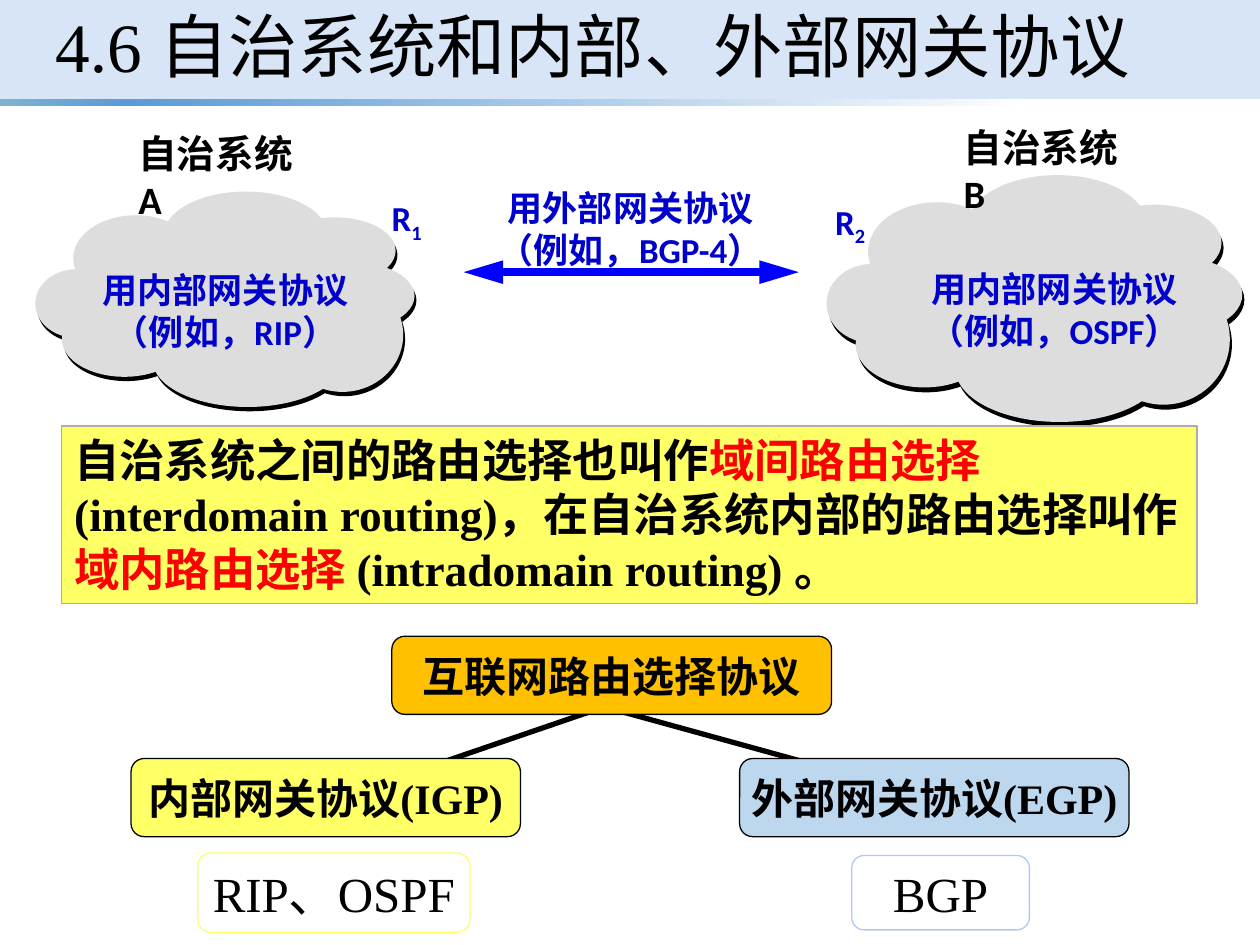
from lxml.etree import SubElement
from pptx import Presentation
from pptx.dml.color import RGBColor
from pptx.enum.shapes import MSO_CONNECTOR, MSO_SHAPE
from pptx.enum.text import MSO_ANCHOR, PP_ALIGN
from pptx.oxml import parse_xml
from pptx.oxml.ns import nsdecls, qn
from pptx.util import Inches, Pt

prs = Presentation()
prs.slide_width, prs.slide_height = Inches(10), Inches(7.5)
s = prs.slides.add_slide(prs.slide_layouts[6])
X, Y = prs.slide_width / 100, prs.slide_height / 100  # one percent of the slide
BLACK, BLUE, RED, YELLOW, GREY = "000000", "0000CC", "FF0000", "FFFF66", "DDDDDD"
SERIF, SANS = "Times New Roman", "Calibri"


def add_box(x, y, w, h, kind=MSO_SHAPE.RECTANGLE, fill=None, line=None):
    """Shape placed in percent of the slide."""
    sp = s.shapes.add_shape(kind, int(x * X), int(y * Y), int(w * X), int(h * Y))
    sp.shadow.inherit = False
    if fill:
        sp.fill.solid()
        sp.fill.fore_color.rgb = RGBColor.from_string(fill)
    else:
        sp.fill.background()
    if line:
        sp.line.color.rgb = RGBColor.from_string(line)
        sp.line.width = Pt(0.75)
    else:
        sp.line.fill.background()
    return sp


def write(sp, paragraphs, size, font, bold=True, align=PP_ALIGN.CENTER,
          anchor=MSO_ANCHOR.TOP, wrap=True):
    """Each paragraph is a list of (text, colour) runs."""
    tf = sp.text_frame
    tf.word_wrap, tf.vertical_anchor = wrap, anchor
    for i, runs in enumerate(paragraphs):
        p = tf.add_paragraph() if i else tf.paragraphs[0]
        p.alignment = align
        for text, color in runs:
            r = p.add_run()
            r.text = text
            r.font.size, r.font.name, r.font.bold = Pt(size), font, bold
            r.font.color.rgb = RGBColor.from_string(color)
    return tf


# Title band and gradient rule
add_box(0, 0, 100, 10.53, fill="D8E5F7")
rule = add_box(0, 10.53, 100, 0.67)
stops = [(0, "7EB3D0"), (10, "5B9BD5"), (82, "FFFFFF"), (100, "FFFFFF")]
stop_xml = "".join(f'<a:gs pos="{pos * 1000}"><a:srgbClr val="{c}"/></a:gs>' for pos, c in stops)
no_fill = rule._element.spPr.find(qn("a:noFill"))
no_fill.getparent().replace(no_fill, parse_xml(
    f'<a:gradFill {nsdecls("a")}><a:gsLst>{stop_xml}</a:gsLst><a:lin ang="0"/></a:gradFill>'))
title = s.shapes.add_textbox(int(3.4 * X), 0, int(93.3 * X), int(10.67 * Y))
tf = write(title, [[("4.6 自治系统和内部、外部网关协议", BLACK)]], 39.6, SERIF, bold=False,
           align=PP_ALIGN.LEFT, anchor=MSO_ANCHOR.MIDDLE)
tf.paragraphs[0].line_spacing = 0.9

# Clouds: puffs in shares of the cloud, first as shadow, then as body
puffs = [(0.34, 0, 0.43, 0.4), (0.1, 0.11, 0.33, 0.4), (0, 0.36, 0.22, 0.32),
         (0.07, 0.51, 0.33, 0.35), (0.31, 0.57, 0.5, 0.43), (0.63, 0.12, 0.32, 0.31),
         (0.68, 0.33, 0.32, 0.31), (0.65, 0.4, 0.32, 0.53), (0.18, 0.24, 0.65, 0.53)]
for left, top, width, height in [(2.8, 20.27, 30.1, 22.8), (65.6, 18.53, 33, 26.13)]:
    for color, dx, dy in [(BLACK, 0.005, 0.02), (GREY, 0, 0)]:
        for x, y, w, h in puffs:
            add_box(left + (x + dx) * width, top + (y + dy) * height, w * width, h * height,
                    MSO_SHAPE.OVAL, color)

# Protocol notes
for x, y, w, lines in [(6.7, 27.73, 22.4, ("用内部网关协议", "（例如，RIP）")),
                       (38.4, 19.07, 23.3, ("用外部网关协议", "（例如，BGP-4）")),
                       (72.5, 27.6, 22.4, ("用内部网关协议", "（例如，OSPF）"))]:
    write(add_box(x, y, w, 10.27), [[(text, BLUE)] for text in lines], 20, SANS)

# System names and their routers
for x, y, text in [(10, 13.07, "自治系统 A"), (75.5, 12.4, "自治系统 B")]:
    tf = write(add_box(x, y, 17, 6.27), [[(text, BLACK)]], 22.1, SANS, align=PP_ALIGN.LEFT)
    tf.margin_right = Inches(0.2)
for x, y, number in [(30.1, 20.13, "1"), (65.3, 20.53, "2")]:
    tf = write(add_box(x, y, 4.5, 5.87), [[("R", BLUE), (number, BLUE)]], 20, SANS,
               align=PP_ALIGN.LEFT, wrap=False)
    tf.paragraphs[0].runs[1].font._element.set("baseline", "-25000")

# Double arrow between the systems and branches of the tree
for x1, y1, x2, y2, color, width in [(36.8, 28.8, 63.4, 28.8, "0000FF", 4.5),
                                     (46.8, 75.33, 31.9, 82.13, BLACK, 3),
                                     (49.4, 75.33, 67.9, 82.13, BLACK, 3)]:
    line = s.shapes.add_connector(MSO_CONNECTOR.STRAIGHT, int(x1 * X), int(y1 * Y),
                                  int(x2 * X), int(y2 * Y))
    line.line.color.rgb = RGBColor.from_string(color)
    line.line.width = Pt(width)
    if y1 == y2:
        for end in ("a:headEnd", "a:tailEnd"):
            SubElement(line.line._get_or_add_ln(), qn(end), type="triangle", len="lg")
    SubElement(line._element.spPr, qn("a:effectLst"))

# Definition
definition = add_box(4.9, 45.07, 90.1, 18.8, fill=YELLOW, line="AFABAB")
write(definition, [[("自治系统之间的路由选择也叫作", BLACK), ("域间路由选择 ", RED),
                    ("(interdomain routing)，在自治系统内部的路由选择叫作", BLACK),
                    ("域内路由选择 ", RED), ("(intradomain routing) 。", BLACK)]],
      25.9, SERIF, align=PP_ALIGN.LEFT)

# Protocol tree
for x, y, w, h, text, fill, line, size, font in [
        (15.7, 90.27, 21.6, 8.4, "RIP、OSPF", None, YELLOW, 28, SERIF),
        (31.1, 67.33, 34.9, 8.27, "互联网路由选择协议", "FFC000", BLACK, 24, SANS),
        (67.6, 90.53, 14.1, 7.87, "BGP", None, "B0C9EE", 28, SERIF),
        (58.7, 80.27, 30.9, 8.27, "外部网关协议(EGP)", "BDD7EE", BLACK, 24, SERIF),
        (10.4, 80.27, 30.9, 8.27, "内部网关协议(IGP)", YELLOW, BLACK, 24, SERIF)]:
    sp = add_box(x, y, w, h, MSO_SHAPE.ROUNDED_RECTANGLE, fill, line)
    write(sp, [[(text, BLACK)]], size, font, bold=size == 24, anchor=MSO_ANCHOR.MIDDLE, wrap=False)

prs.save("out.pptx")
